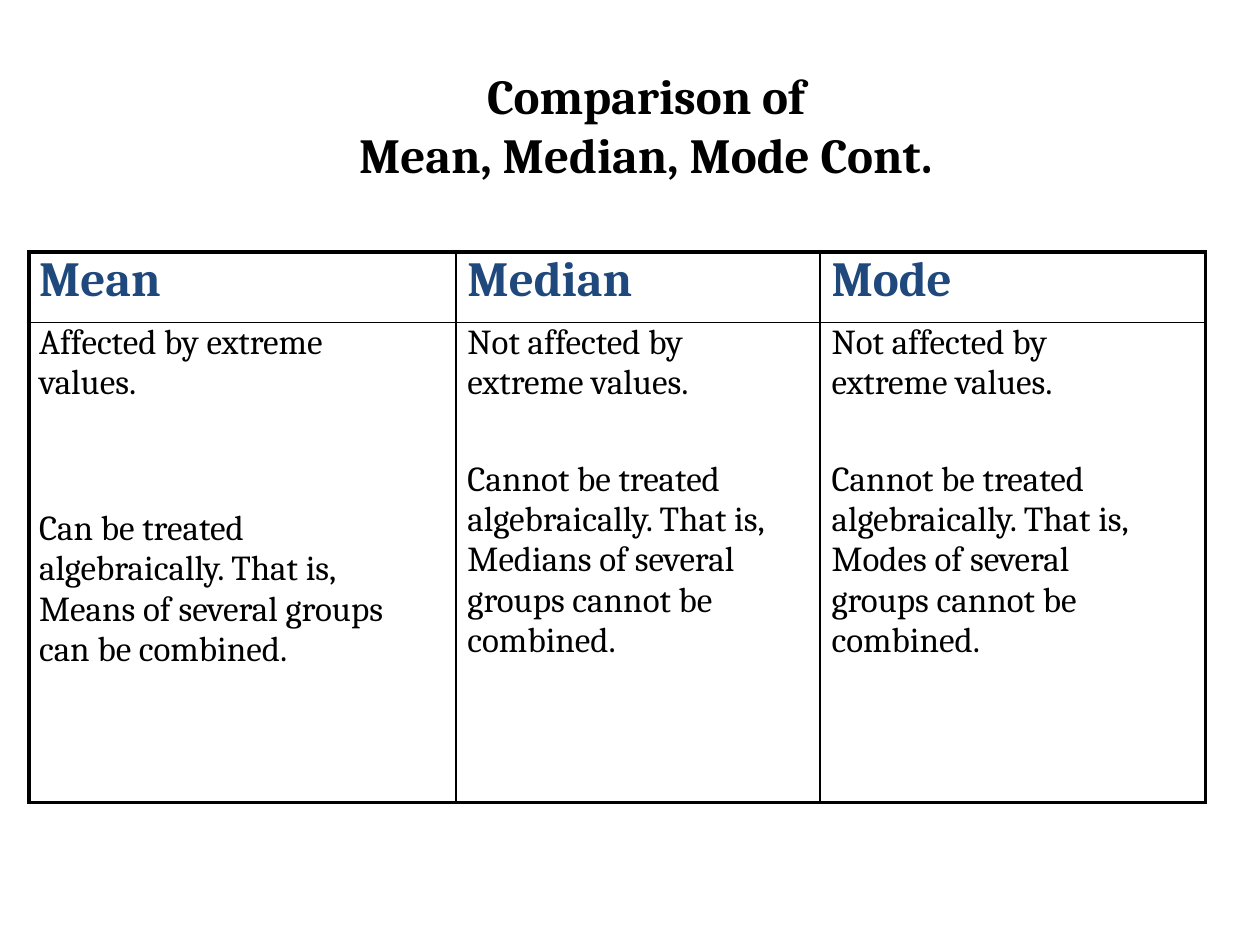
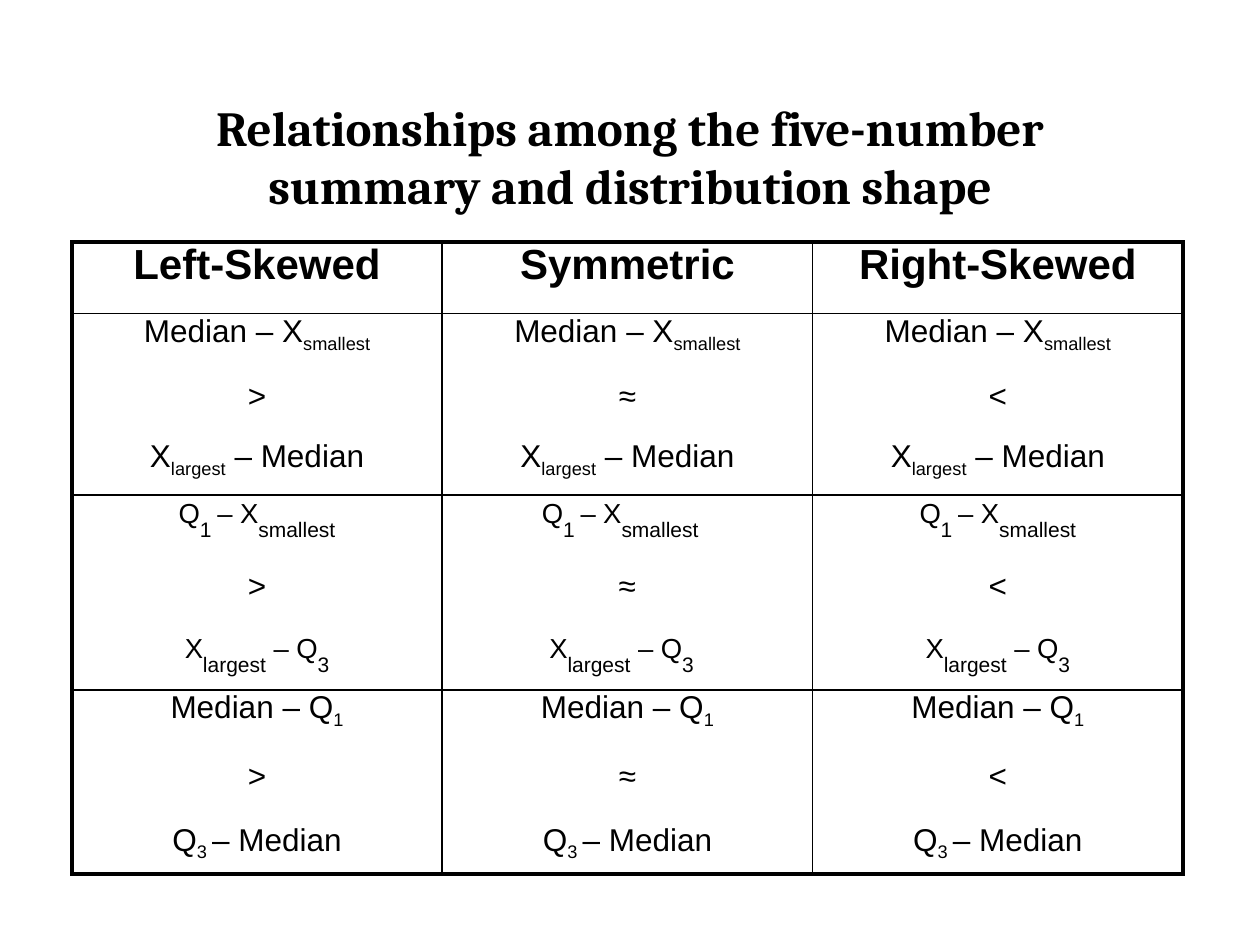
from lxml.etree import SubElement
from pptx import Presentation
from pptx.dml.color import RGBColor
from pptx.enum.text import PP_ALIGN as Align
from pptx.oxml.ns import qn
from pptx.util import Inches, Pt

COLORS = {"ink": "000000", "heading": "1F487C"}
SERIF, SANS = "Cambria", "Arial"
OUTER_LINE, INNER_LINE = 2.25, 1

# Each formula style pairs the format of its main text with that of its subscripts.
SUBSCRIPT = ({"size": 18}, {"size": 18, "baseline": -25})
RAISED = ({"size": 27, "baseline": 30}, {"size": 12})


def add_run(paragraph, text, font=SANS, size=18, color="ink", bold=False, baseline=0):
    run = paragraph.add_run()
    run.text = text
    run.font.name = font
    run.font.size = Pt(size)
    run.font.bold = bold
    run.font.color.rgb = RGBColor.from_string(COLORS[color])
    if baseline:
        run.font._element.set("baseline", str(baseline * 1000))


def add_paragraph(frame, first=False, align=Align.LEFT, indent=0, before=0, spacing=None):
    paragraph = frame.paragraphs[0] if first else frame.add_paragraph()
    paragraph.alignment = align
    paragraph.space_before = Pt(before)
    if spacing:
        paragraph.line_spacing = spacing
    if indent:
        paragraph._p.get_or_add_pPr().set("marL", str(Inches(indent)))
    return paragraph


def add_formula(paragraph, formula, style):
    """Write a formula whose subscripts stand between bars."""
    for i, part in enumerate(formula.split("|")):
        if part:
            add_run(paragraph, part, **style[i % 2])


def clear_margins(area):
    area.margin_left = area.margin_right = area.margin_top = area.margin_bottom = 0


def add_title(slide, box, lines):
    frame = slide.shapes.add_textbox(*map(Inches, box)).text_frame
    frame.word_wrap = True
    clear_margins(frame)
    for i, line in enumerate(lines):
        paragraph = add_paragraph(frame, first=i == 0, align=Align.CENTER)
        add_run(paragraph, line, font=SERIF, size=28, bold=True)


def draw_border(cell, side, width):
    line = SubElement(cell._tc.get_or_add_tcPr(), qn(f"a:ln{side}"), w=str(Pt(width)))
    fill = SubElement(line, qn("a:solidFill"))
    SubElement(fill, qn("a:srgbClr"), val=COLORS["ink"])


def add_ruled_table(slide, left, top, widths, heights):
    """Add an unfilled table with a heavy frame and thin inner rules."""
    size = (sum(widths), sum(heights))
    table = slide.shapes.add_table(
        len(heights), len(widths), *map(Inches, (left, top, *size))).table
    table.first_row = table.horz_banding = False
    for column, width in zip(table.columns, widths):
        column.width = Inches(width)
    for row, height in zip(table.rows, heights):
        row.height = Inches(height)
    last_row, last_col = len(heights) - 1, len(widths) - 1
    for r in range(last_row + 1):
        for c in range(last_col + 1):
            cell = table.cell(r, c)
            clear_margins(cell)
            on_frame = {"L": c == 0, "R": c == last_col, "T": r == 0, "B": r == last_row}
            for side, outer in on_frame.items():
                draw_border(cell, side, OUTER_LINE if outer else INNER_LINE)
            cell.fill.background()
    return table


def build_averages(slide):
    add_title(slide, (2.67, 0.52, 4.91, 0.88),
              ["Comparison of", "Mean, Median, Mode Cont."])
    table = add_ruled_table(slide, 0.23, 2, [3.39, 2.89, 3.06], [0.56, 3.81])
    # measure, effect of extremes, algebra, gap between the two, indent, right margin
    measures = [
        ("Mean", "Affected by extreme values.",
         "Can be treated algebraically. That is, Means of several groups can be combined.",
         60.4, 0.08, 0.4),
        ("Median", "Not affected by extreme values.",
         "Cannot be treated algebraically. That is, Medians of several groups "
         "cannot be combined.", 32.3, 0.09, 0.3),
        ("Mode", "Not affected by extreme values.",
         "Cannot be treated algebraically. That is, Modes of several groups "
         "cannot be combined.", 32.3, 0.09, 0.4),
    ]
    for c, (measure, extremes, algebra, gap, indent, margin) in enumerate(measures):
        heading = add_paragraph(table.cell(0, c).text_frame, first=True, indent=indent)
        add_run(heading, measure, font=SERIF, size=28, color="heading", bold=True)
        body = table.cell(1, c)
        body.margin_right = Inches(margin)
        for i, text in enumerate((extremes, algebra)):
            paragraph = add_paragraph(body.text_frame, first=i == 0, indent=indent,
                                      before=gap * i)
            add_run(paragraph, text, font=SERIF, size=20)


def fill_comparison(cell, upper, sign, lower, style, gaps, spacing=None, indents=None):
    """Stack two formulas around a sign, centred unless indents are given."""
    align = Align.LEFT if indents else Align.CENTER
    first, middle, last = indents or (0, 0, 0)
    frame = cell.text_frame
    add_formula(add_paragraph(frame, first=True, align=align, indent=first), upper, style)
    add_run(add_paragraph(frame, align=align, indent=middle, before=gaps[0]), sign)
    add_formula(add_paragraph(frame, align=align, indent=last, before=gaps[1],
                              spacing=spacing), lower, style)


def build_shapes_of_distribution(slide):
    add_title(slide, (1.61, 0.77, 6.78, 0.88),
              ["Relationships among the five-number", "summary and distribution shape"])
    table = add_ruled_table(slide, 0.57, 1.92, [2.94] * 3, [0.57, 1.44, 1.45, 1.46])
    skews = [("Left-Skewed", ">"), ("Symmetric", "≈"), ("Right-Skewed", "<")]
    # upper formula, lower formula, style, gaps, line spacing, indents when symmetric
    comparisons = [
        ("Median – X|smallest", "X|largest| – Median", SUBSCRIPT, (14.2, 14.2), None, None),
        ("Q|1 |– X|smallest", "X|largest| – Q|3", RAISED, (11.8, 20.8), 0.76,
         (0.79, 1.4, 0.85)),
        ("Median – Q|1", "Q|3 |– Median", SUBSCRIPT, (16.3, 16.3), None, None),
    ]
    for c, (skew, sign) in enumerate(skews):
        heading = add_paragraph(table.cell(0, c).text_frame, first=True, align=Align.CENTER)
        add_run(heading, skew, size=24, bold=True)
        for r, (upper, lower, style, gaps, spacing, indents) in enumerate(comparisons, 1):
            fill_comparison(table.cell(r, c), upper, sign, lower, style, gaps, spacing,
                            indents if skew == "Symmetric" else None)


def main():
    deck = Presentation()
    deck.slide_width, deck.slide_height = Inches(10), Inches(7.5)
    blank = deck.slide_layouts[6]
    for build in (build_averages, build_shapes_of_distribution):
        build(deck.slides.add_slide(blank))
    deck.save("out.pptx")


if __name__ == "__main__":
    main()
